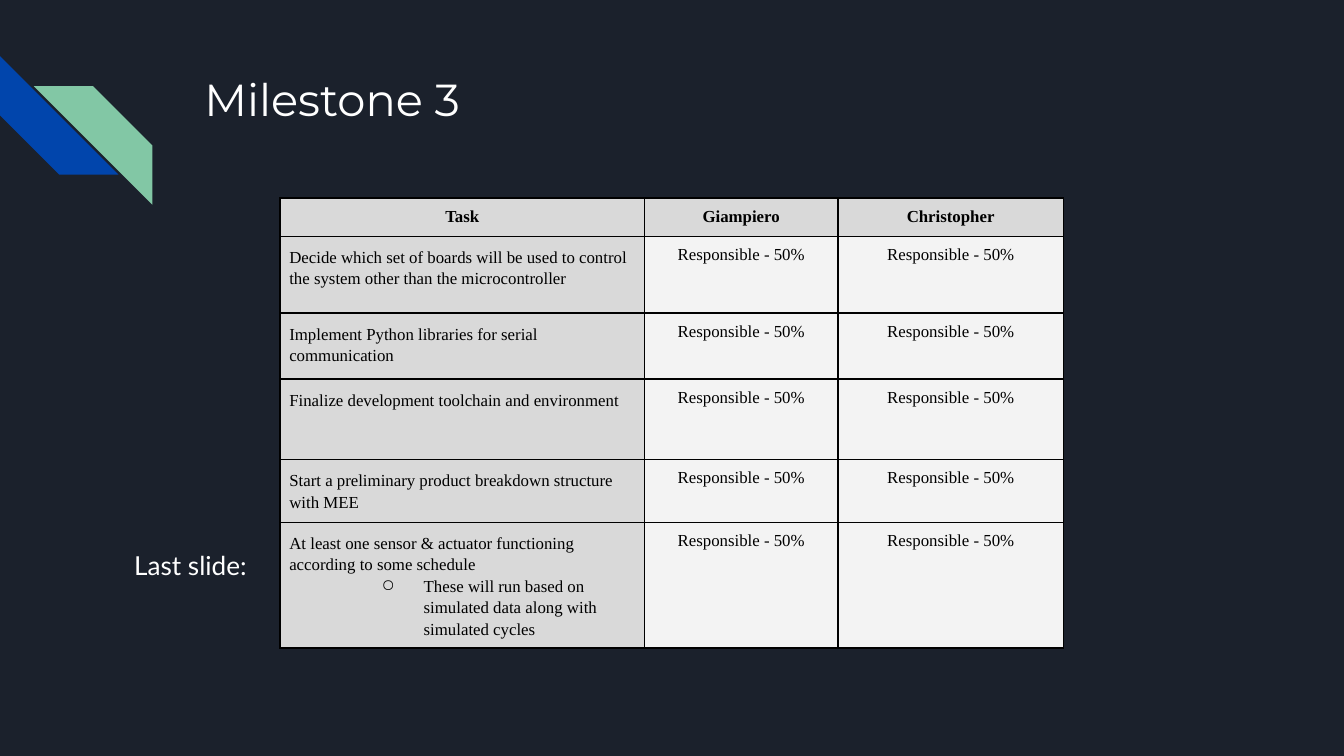
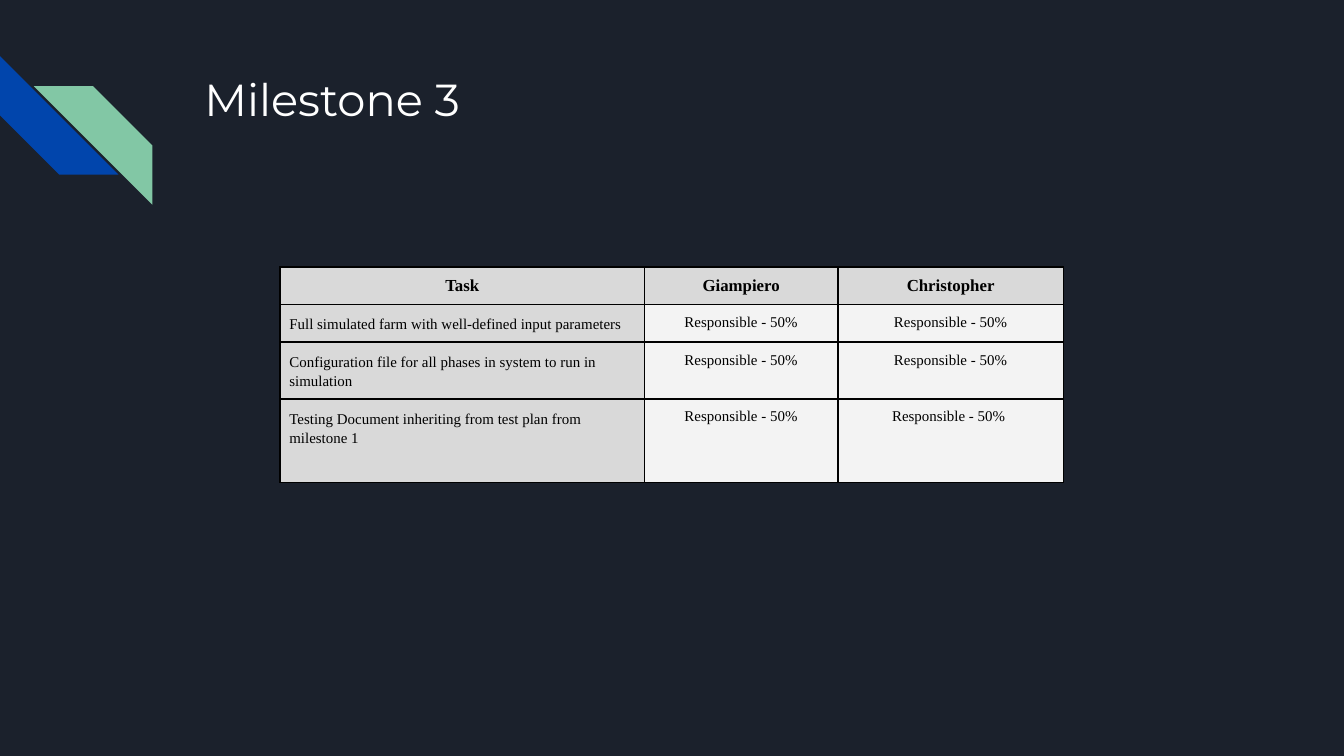
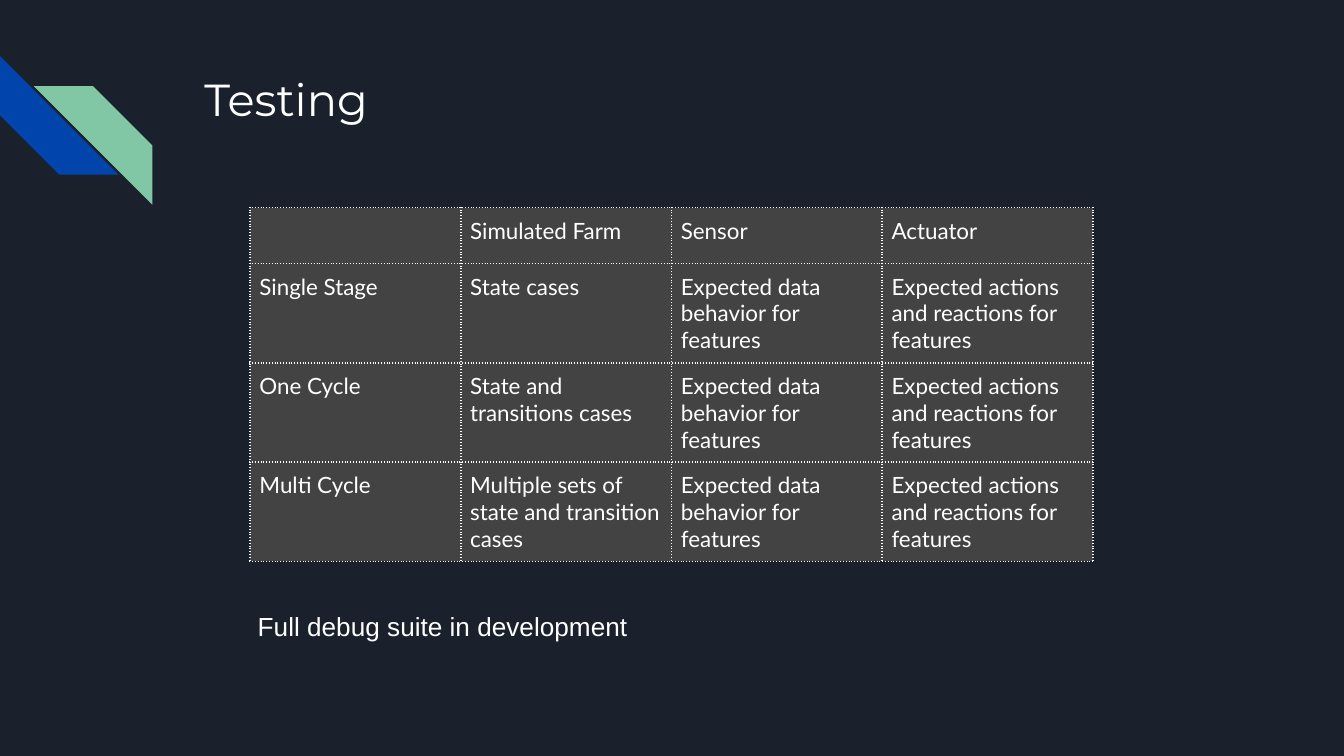
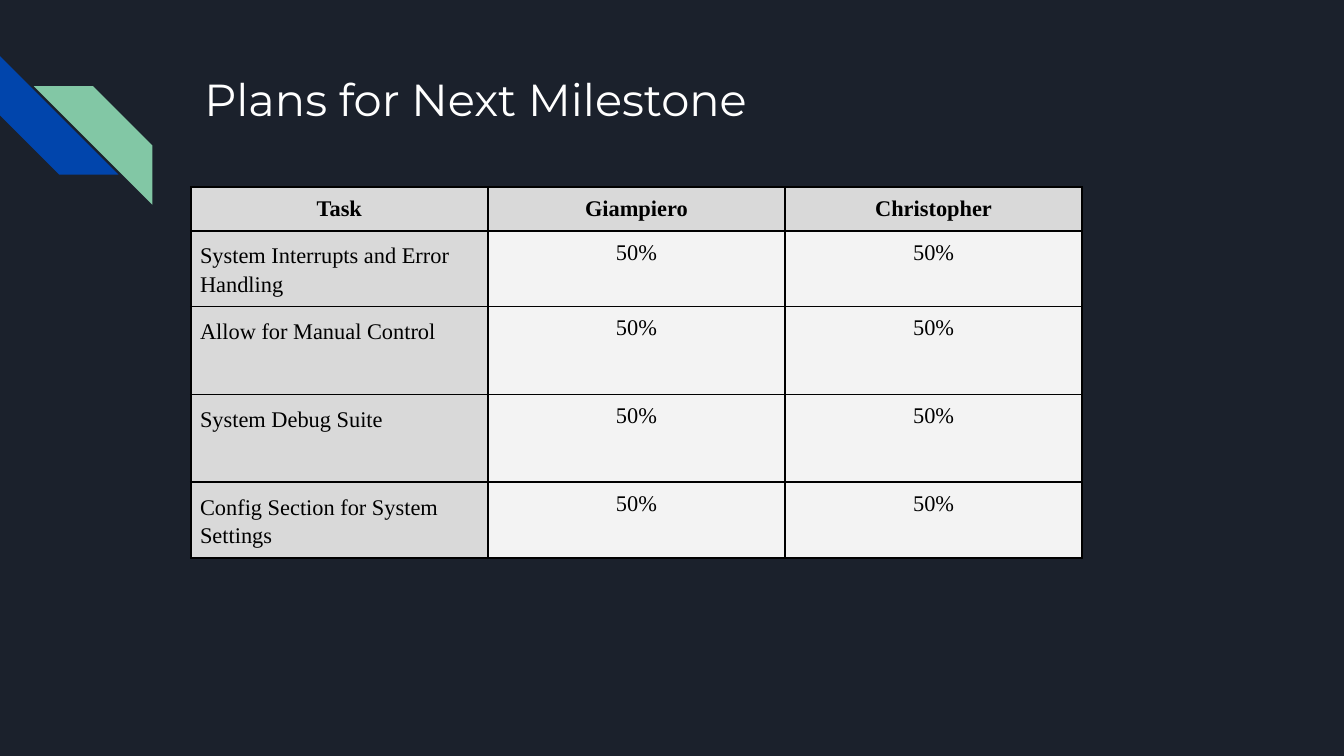
"""Build four project slides: milestone 3 tasks, testing and the next milestone."""
from lxml import etree
from pptx import Presentation
from pptx.dml.color import RGBColor
from pptx.enum.shapes import MSO_SHAPE
from pptx.enum.text import MSO_ANCHOR, MSO_AUTO_SIZE, PP_ALIGN
from pptx.oxml.ns import qn
from pptx.util import Pt

CENTER, LEFT = PP_ALIGN.CENTER, PP_ALIGN.LEFT
TOP, NO_FIT = MSO_ANCHOR.TOP, MSO_AUTO_SIZE.NONE
STRIPE = MSO_SHAPE.DIAGONAL_STRIPE
TITLE_ONLY = 5

COLORS = {
    "background": "1B212C", "blue": "0145AC", "green": "82C7A5",
    "white": "FFFFFF", "black": "000000",
    "label": "D9D9D9", "value": "F3F3F3", "dark": "434343",
}
TITLE_FONT, TASK_FONT, BODY_FONT, NOTE_FONT = "Montserrat", "Times New Roman", "Lato", "Arial"
TITLE_BOX = (102.24, 30.96, 554.4, 72)
BOX_INSET, CELL_INSET = 7.2, 5
STRIPE_SIZE = 63.5
BULLET = "○"

PEOPLE = ["Task", "Giampiero", "Christopher"]
SHARE = "Responsible - 50%"
EXPECTED = ["Expected data behavior for features", "Expected actions and reactions for features"]

SLIDES = [
    {
        "title": "Milestone 3",
        "table": {
            "style": "tasks", "at": (150, 106.2), "sizes": (9, 9),
            "columns": [195.3, 103.5, 121], "rows": [20.4, 41.2, 35.4, 43.1, 33.7, 67.2],
            "cells": [
                PEOPLE,
                ["Decide which set of boards will be used to control the system other than the microcontroller",
                 SHARE, SHARE],
                ["Implement Python libraries for serial communication", SHARE, SHARE],
                ["Finalize development toolchain and environment", SHARE, SHARE],
                ["Start a preliminary product breakdown structure with MEE", SHARE, SHARE],
                ["At least one sensor & actuator functioning according to some schedule\n"
                 "These will run based on simulated data along with simulated cycles", SHARE, SHARE],
            ],
        },
        "note": ("Last slide:", (64.8, 287.3, 82, 44.6), BODY_FONT),
    },
    {
        "title": "Milestone 3",
        "table": {
            "style": "tasks", "at": (150, 143.1), "sizes": (9, 8),
            "columns": [195.3, 103.5, 121], "rows": [20.1, 20.1, 30.3, 44.7],
            "cells": [
                PEOPLE,
                ["Full simulated farm with well-defined input parameters", SHARE, SHARE],
                ["Configuration file for all phases in system to run in simulation", SHARE, SHARE],
                ["Testing Document inheriting from test plan from milestone 1", SHARE, SHARE + " "],
            ],
        },
    },
    {
        "title": "Testing",
        "table": {
            "style": "dark", "at": (134, 111.2), "sizes": (12, 12),
            "columns": [112.9] * 4, "rows": [30, 53, 53, 53],
            "cells": [
                ["", "Simulated Farm", "Sensor", "Actuator"],
                ["Single Stage", "State cases", *EXPECTED],
                ["One Cycle", "State and transitions cases", *EXPECTED],
                ["Multi Cycle", "Multiple sets of state and transition cases", *EXPECTED],
            ],
        },
        "note": ("Full debug suite in development", (131, 319.7, 471.6, 47.5), NOTE_FONT),
    },
    {
        "title": "Plans for Next Milestone",
        "table": {
            "style": "tasks", "at": (102.2, 100.3), "sizes": (12, 12),
            "columns": [159.2] * 3, "rows": [23.4, 40.6, 47, 47, 40.6],
            "cells": [
                PEOPLE,
                ["System Interrupts and Error Handling", "50%", "50%"],
                ["Allow for Manual Control", "50%", "50%"],
                ["System Debug Suite", "50%", "50%"],
                ["Config Section for System Settings", "50%", "50%"],
            ],
        },
    },
]


def rgb(name):
    return RGBColor.from_string(COLORS[name])


def add_element(parent, tag, **attributes):
    return etree.SubElement(parent, qn(tag), **attributes)


def add_color(parent, name):
    add_element(parent, "a:srgbClr", val=COLORS[name])


def format_runs(paragraph, font_name, size, color, bold=False):
    for run in paragraph.runs:
        run.font.name, run.font.size, run.font.bold = font_name, Pt(size), bold
        run.font.color.rgb = rgb(color)


def set_text(shape, text, font_name, size):
    frame = shape.text_frame
    frame.text = text
    frame.word_wrap, frame.auto_size, frame.vertical_anchor = True, NO_FIT, TOP
    frame.margin_left = frame.margin_right = frame.margin_top = frame.margin_bottom = Pt(BOX_INSET)
    frame.paragraphs[0].alignment = LEFT
    format_runs(frame.paragraphs[0], font_name, size, "white")


def add_master_stripes(slide, master):
    """Draw the two corner stripes and move them to the master."""
    for shape_id, left, top, color in ((101, 0, 30, "blue"), (102, 18.2, 46.2, "green")):
        stripe = slide.shapes.add_shape(STRIPE, Pt(left), Pt(top), Pt(STRIPE_SIZE), Pt(STRIPE_SIZE))
        stripe.shadow.inherit = False
        stripe.fill.solid()
        stripe.fill.fore_color.rgb = rgb(color)
        stripe.line.fill.background()
        if color == "blue":
            stripe.rotation = 270
        else:
            stripe._element.spPr.xfrm.set("flipH", "1")
        stripe._element.nvSpPr.cNvPr.set("id", str(shape_id))
        master.shapes._spTree.append(stripe._element)


def add_bullet(paragraph):
    paragraph.level = 1
    properties = paragraph._p.get_or_add_pPr()
    properties.set("marL", str(Pt(72)))
    properties.set("indent", str(Pt(-22.5)))
    add_color(add_element(properties, "a:buClr"), "black")
    add_element(properties, "a:buChar", char=BULLET)


def set_borders(cell, color, dash):
    properties = cell._tc.get_or_add_tcPr()
    for position, side in enumerate(("a:lnL", "a:lnR", "a:lnT", "a:lnB")):
        line = etree.Element(qn(side), w=str(Pt(1)))
        add_color(add_element(line, "a:solidFill"), color)
        add_element(line, "a:prstDash", val=dash)
        properties.insert(position, line)


def fill_cell(cell, text, style, size, is_header, is_label):
    tasks = style == "tasks"
    fill = "dark" if not tasks else "label" if is_header or is_label else "value"
    cell.fill.solid()
    cell.fill.fore_color.rgb = rgb(fill)
    cell.margin_left = cell.margin_right = cell.margin_top = cell.margin_bottom = Pt(CELL_INSET)
    cell.text_frame.text = text
    for index, paragraph in enumerate(cell.text_frame.paragraphs):
        paragraph.alignment = CENTER if tasks and (is_header or not is_label) else LEFT
        if tasks and is_label and not is_header:
            paragraph.line_spacing = 1.15
        if index:
            add_bullet(paragraph)
        format_runs(paragraph, TASK_FONT if tasks else BODY_FONT, size,
                    "black" if tasks else "white", tasks and is_header)
        if not text:
            add_element(paragraph._p, "a:endParaRPr", sz=str(size * 100))
    set_borders(cell, "black" if tasks else "white", "solid" if tasks else "dot")


def add_grid(slide, style, at, sizes, columns, rows, cells):
    box = (*at, sum(columns), sum(rows))
    table = slide.shapes.add_table(len(rows), len(columns), *map(Pt, box)).table
    for column, width in zip(table.columns, columns):
        column.width = Pt(width)
    for row_index, (row, height) in enumerate(zip(table.rows, rows)):
        row.height = Pt(height)
        for column_index, text in enumerate(cells[row_index]):
            fill_cell(table.cell(row_index, column_index), text, style,
                      sizes[min(row_index, 1)], row_index == 0, column_index == 0)


def add_title(slide, text):
    title = slide.shapes.title
    title.left, title.top, title.width, title.height = map(Pt, TITLE_BOX)
    set_text(title, text, TITLE_FONT, 24)


def main():
    presentation = Presentation()
    presentation.slide_width, presentation.slide_height = Pt(720), Pt(405)
    master = presentation.slide_master
    master.background.fill.solid()
    master.background.fill.fore_color.rgb = rgb("background")
    for content in SLIDES:
        slide = presentation.slides.add_slide(presentation.slide_layouts[TITLE_ONLY])
        add_title(slide, content["title"])
        add_grid(slide, **content["table"])
        if "note" in content:
            text, box, font_name = content["note"]
            set_text(slide.shapes.add_textbox(*map(Pt, box)), text, font_name, 14)
    add_master_stripes(presentation.slides[0], master)
    presentation.save("out.pptx")


if __name__ == "__main__":
    main()
